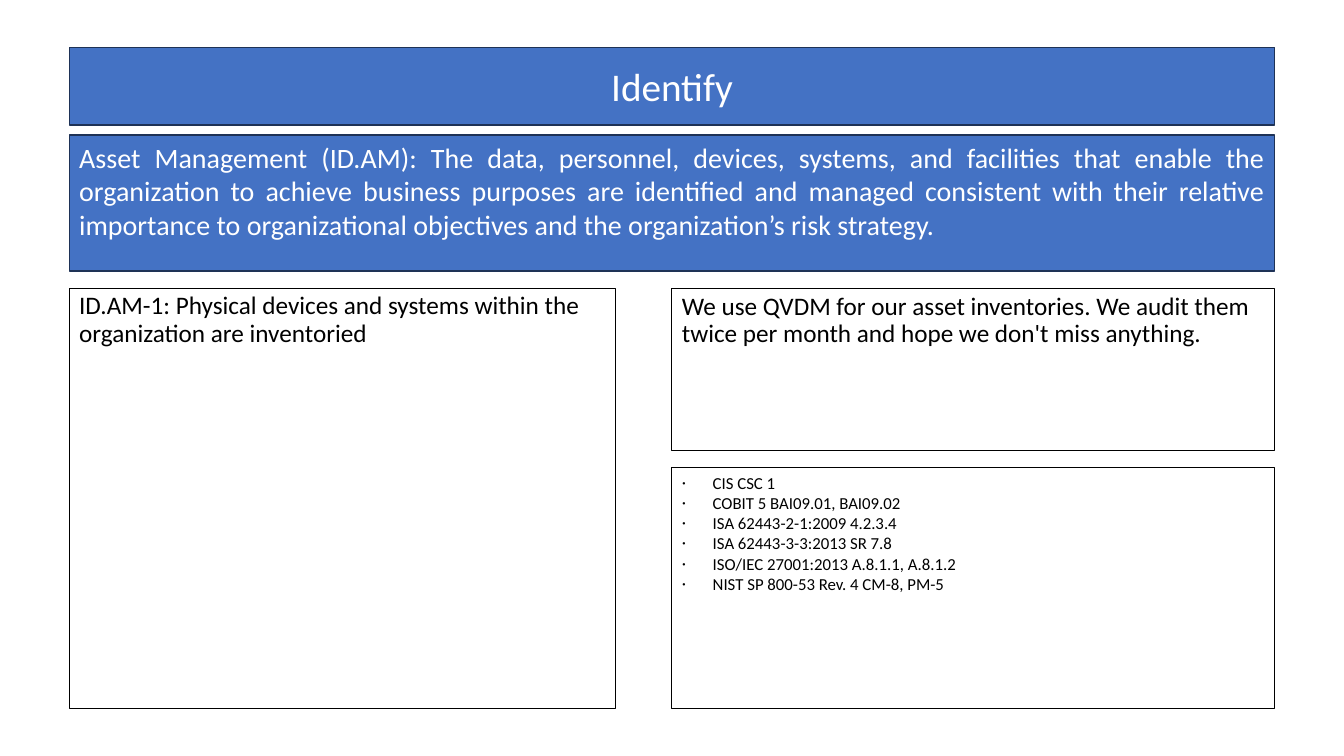
from pptx import Presentation
from pptx.dml.color import RGBColor
from pptx.enum.shapes import MSO_SHAPE as Shape
from pptx.enum.text import MSO_ANCHOR as Anchor, MSO_AUTO_SIZE as AutoSize, PP_ALIGN as Align
from pptx.oxml.ns import qn
from pptx.util import Pt

BLUE = RGBColor(0x44, 0x72, 0xC4)
NAVY = RGBColor(0x1E, 0x32, 0x56)
WHITE = RGBColor(0xFF, 0xFF, 0xFF)
BLACK = RGBColor(0, 0, 0)
FONT = "Calibri"
LEFT, RIGHT = 49.5, 910.6
MIDDLE, BOTTOM = 480, 506.2
PANEL_TOP = 205.9

CATEGORY = (
    "Asset Management (ID.AM): The data, personnel, devices, systems, and facilities "
    "that enable the organization to achieve business purposes are identified and managed "
    "consistent with their relative importance to organizational objectives and the "
    "organization’s risk strategy."
)
SUBCATEGORY = "ID.AM-1: Physical devices and systems within the organization are inventoried"
PRACTICE = (
    "We use QVDM for our asset inventories. We audit them twice per month "
    "and hope we don't miss anything."
)
REFERENCES = [
    "CIS CSC 1",
    "COBIT 5 BAI09.01, BAI09.02",
    "ISA 62443-2-1:2009 4.2.3.4",
    "ISA 62443-3-3:2013 SR 7.8",
    "ISO/IEC 27001:2013 A.8.1.1, A.8.1.2",
    "NIST SP 800-53 Rev. 4 CM-8, PM-5",
]


def place(box, left, top, right, bottom):
    """Put a box between four edges."""
    box.left, box.top = Pt(left), Pt(top)
    box.width, box.height = Pt(right - left), Pt(bottom - top)


def paint(box, line, width, fill=None):
    """Outline a box and fill it, or leave it clear."""
    box.line.color.rgb = line
    box.line.width = Pt(width)
    if fill is None:
        box.fill.background()
    else:
        box.fill.solid()
        box.fill.fore_color.rgb = fill


def add_bullet(para, indent):
    """Give a paragraph a hanging middle-dot bullet."""
    props = para._p.get_or_add_pPr()
    props.set("marL", str(Pt(indent)))
    props.set("indent", str(-Pt(indent)))
    props.append(props.makeelement(qn("a:buFont"), {"typeface": FONT}))
    props.append(props.makeelement(qn("a:buChar"), {"char": "·"}))


def write(box, lines, size, color=BLACK, align=Align.LEFT, anchor=Anchor.TOP,
          spacing=0.9, indent=0):
    """Write one paragraph per line, bulleted when an indent is given."""
    frame = box.text_frame
    frame.word_wrap = True
    frame.auto_size = AutoSize.NONE
    frame.vertical_anchor = anchor
    for index, line in enumerate(lines):
        para = frame.add_paragraph() if index else frame.paragraphs[0]
        para.alignment = align
        para.line_spacing = spacing
        para.space_before = Pt(0)
        if indent:
            add_bullet(para, indent)
        span = para.add_run()
        span.text = line
        span.font.name = FONT
        span.font.size = Pt(size)
        span.font.color.rgb = color


def add_box(page, edges, lines, size, line=BLACK, width=0.75, fill=None, **style):
    """Add a rectangle with text."""
    box = page.shapes.add_shape(Shape.RECTANGLE, 0, 0, 0, 0)
    box.shadow.inherit = False
    place(box, *edges)
    paint(box, line, width, fill)
    write(box, lines, size, **style)


def add_title(page, edges, text):
    """Turn the title placeholder into the heading bar."""
    title = page.shapes.title
    place(title, *edges)
    paint(title, NAVY, 1, BLUE)
    write(title, [text], 28, color=WHITE, align=Align.CENTER, anchor=Anchor.MIDDLE, spacing=1.0)


def main():
    """Build and save the slide."""
    deck = Presentation()
    deck.slide_width, deck.slide_height = Pt(960), Pt(540)
    page = deck.slides.add_slide(deck.slide_layouts[5])
    add_title(page, (LEFT, 33.8, RIGHT, 89.3), "Identify")
    add_box(page, (LEFT, 96.5, RIGHT, 193.7), [CATEGORY], 20, line=NAVY, width=1,
            fill=BLUE, color=WHITE, align=Align.JUSTIFY, spacing=1.0)
    add_box(page, (LEFT, PANEL_TOP, 440, BOTTOM), [SUBCATEGORY], 18)
    add_box(page, (MIDDLE, PANEL_TOP, RIGHT, 321.8), [PRACTICE], 18)
    add_box(page, (MIDDLE, 334.1, RIGHT, BOTTOM), REFERENCES, 12, spacing=1.0, indent=22)
    deck.save("out.pptx")


main()
